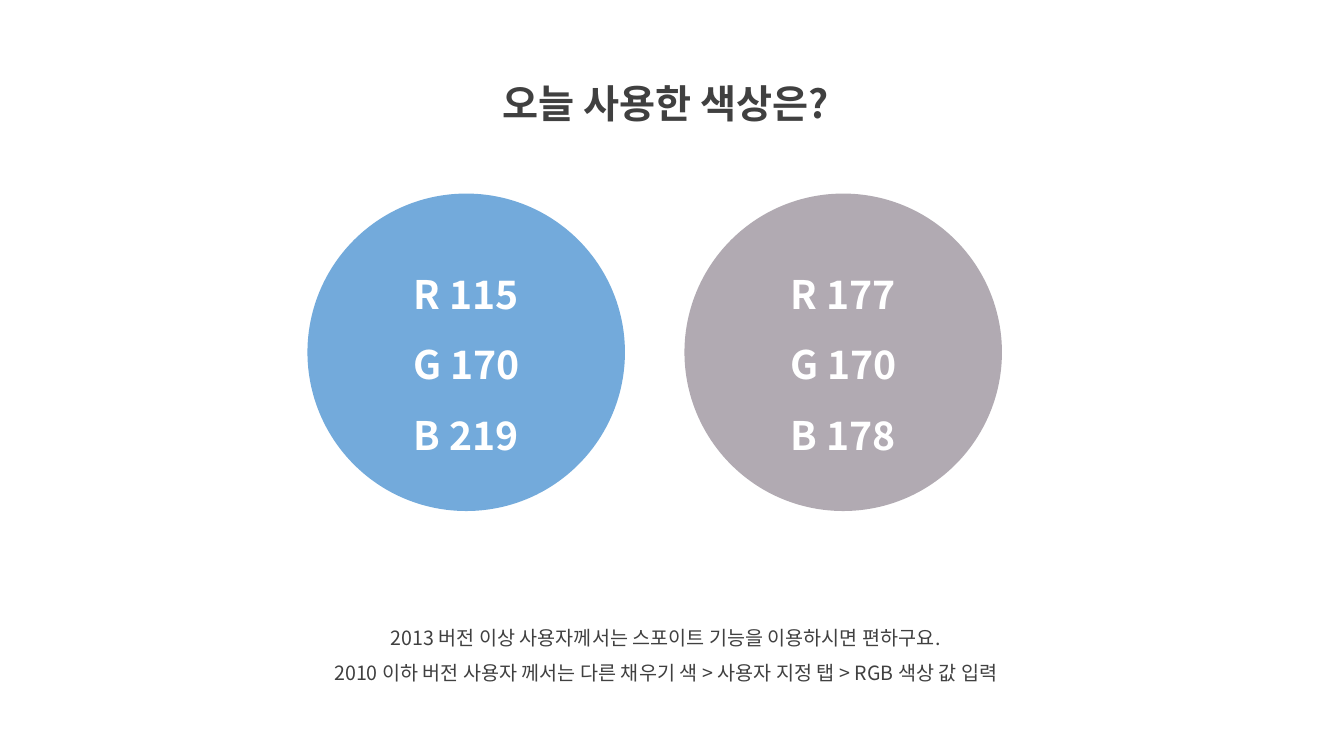
from dataclasses import dataclass

from lxml.etree import SubElement
from pptx import Presentation
from pptx.dml.color import RGBColor
from pptx.enum.shapes import MSO_SHAPE as Preset
from pptx.enum.text import MSO_ANCHOR as Anchor, MSO_AUTO_SIZE as AutoSize, PP_ALIGN as Align
from pptx.oxml.ns import qn
from pptx.slide import Slide
from pptx.util import Pt

FONT = "Noto Sans CJK KR"
WHITE = RGBColor(255, 255, 255)
CHARCOAL = RGBColor(64, 64, 64)
BLUE = RGBColor(115, 170, 219)
MAUVE = RGBColor(177, 170, 178)

PARA_FORMAT = {
    "alignment": Align.CENTER,
    "line_spacing": 1.5,
    "space_before": Pt(0),
    "space_after": Pt(0),
}
CIRCLE_TOP = 138.24
CIRCLE_SIZE = 226.8


@dataclass(frozen=True)
class Swatch:
    left: float
    color: RGBColor


@dataclass(frozen=True)
class TextStyle:
    size: float
    color: RGBColor
    bold: bool
    anchor: Anchor


HEADING = TextStyle(28, CHARCOAL, True, Anchor.TOP)
NOTE = TextStyle(14, CHARCOAL, False, Anchor.TOP)
SWATCH_LABEL = TextStyle(28, WHITE, True, Anchor.MIDDLE)

TITLE = "오늘 사용한 색상은?"
TIPS = [
    "2013 버전 이상 사용자께서는 스포이트 기능을 이용하시면 편하구요.",
    "2010 이하 버전 사용자 께서는 다른 채우기 색 > 사용자 지정 탭 > RGB 색상 값 입력",
]
SWATCHES = [Swatch(219.6, BLUE), Swatch(488.88, MAUVE)]


def set_attributes(target: object, values: dict) -> None:
    for name, value in values.items():
        setattr(target, name, value)


def place(box: object, left: float, top: float, width: float, height: float) -> None:
    set_attributes(box, {"left": Pt(left), "top": Pt(top), "width": Pt(width), "height": Pt(height)})


def write_lines(box: object, lines: list[str], style: TextStyle) -> None:
    """Fill the box with one centred, unbulleted paragraph per line."""
    frame = box.text_frame
    set_attributes(
        frame,
        {"word_wrap": True, "auto_size": AutoSize.NONE, "vertical_anchor": style.anchor},
    )
    for index, line in enumerate(lines):
        para = frame.paragraphs[0] if index == 0 else frame.add_paragraph()
        set_attributes(para, PARA_FORMAT)
        properties = para._p.get_or_add_pPr()
        properties.set("marL", "0")
        properties.set("indent", "0")
        SubElement(properties, qn("a:buNone"))
        span = para.add_run()
        span.text = line
        set_attributes(span.font, {"name": FONT, "size": Pt(style.size), "bold": style.bold})
        span.font.color.rgb = style.color
        SubElement(span.font._element, qn("a:ea"), typeface=FONT)


def add_swatch(page: Slide, swatch: Swatch) -> None:
    """Draw a circle labelled with the RGB values of its own fill."""
    circle = page.shapes.add_shape(
        Preset.OVAL, Pt(swatch.left), Pt(CIRCLE_TOP), Pt(CIRCLE_SIZE), Pt(CIRCLE_SIZE)
    )
    circle.shadow.inherit = False
    circle.fill.solid()
    circle.fill.fore_color.rgb = swatch.color
    circle.line.fill.background()
    labels = [f"{channel} {value}" for channel, value in zip("RGB", swatch.color)]
    write_lines(circle, labels, SWATCH_LABEL)


def main() -> None:
    deck = Presentation()
    set_attributes(deck, {"slide_width": Pt(960), "slide_height": Pt(540)})
    page = deck.slides.add_slide(deck.slide_layouts.get_by_name("Title and Content"))

    title, tips = page.placeholders
    place(title, 308.88, 36, 333.36, 51.84)
    write_lines(title, [TITLE], HEADING)
    place(tips, 187.92, 434.88, 575.28, 58.32)
    write_lines(tips, TIPS, NOTE)

    for swatch in SWATCHES:
        add_swatch(page, swatch)
    deck.save("out.pptx")


if __name__ == "__main__":
    main()
